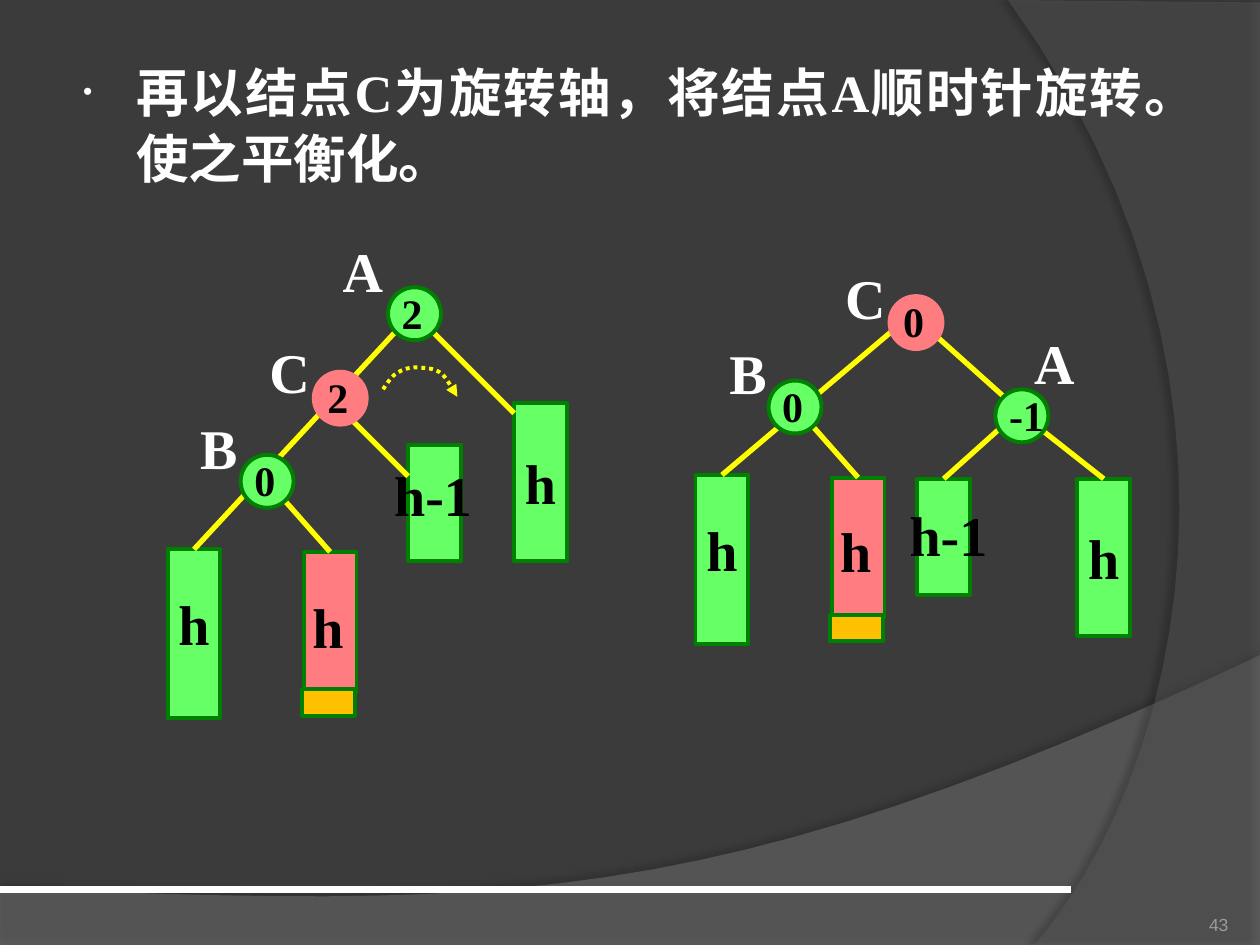
from dataclasses import dataclass

from lxml.etree import SubElement
from pptx import Presentation
from pptx.dml.color import RGBColor
from pptx.enum.dml import MSO_LINE
from pptx.enum.shapes import MSO_CONNECTOR, MSO_SHAPE
from pptx.enum.text import MSO_ANCHOR as Anchor, MSO_AUTO_SIZE as AutoSize, PP_ALIGN as Align
from pptx.oxml.ns import qn
from pptx.util import Inches, Pt


@dataclass(frozen=True)
class Theme:
    serif: str = "Times New Roman"
    sans: str = "Arial"
    background: str = "3B3B3B"
    light: str = "FFFFFF"
    dark: str = "000000"
    muted: str = "9D9B9A"
    green: str = "66FF66"
    outline: str = "008000"
    pink: str = "FF7C80"
    orange: str = "FFC000"
    yellow: str = "FFFF00"
    heading: int = 30
    name: int = 32
    value: int = 24
    footer: int = 10
    border: float = 2.25
    edge: float = 3
    rule: float = 4.5


THEME = Theme()
COLS, ROWS = 100, 75   # grid of tenths of an inch
THICK = 4.2            # node diameter and leaf width, in columns

# Nodes: left, top, balance factor, colour, name, offset of the name
# Leaves: left, top, height, colour, label, line spacing, label box or None for a label inside
# Edges: start, then an end point or the index of the leaf it hangs from
BEFORE = {
    "leaves": [
        (13.3, 43.6, 13.4, THEME.green, "h", 0.6, None),
        (24.1, 43.8, 11.1, THEME.pink, "h", 1, (23.8, 46.5, 4.5, 6.3)),
        (32.4, 35.3, 9.2, THEME.green, "h-1", 1, (30.3, 36.1, 8.2, 6.3)),
        (40.8, 32, 12.5, THEME.green, "h", 1, None),
    ],
    "edges": [((31.6, 26.1), 0), ((21.6, 38.6), 1),
              ((27.4, 32.8), (32.4, 37.8)), ((34.1, 26.1), (40.8, 32.8))],
    "nodes": [
        (30.8, 22.8, "2", THEME.green, "A", (-4.6, -4.5)),
        (24.9, 29.5, "2", THEME.pink, "C", (-4.5, -3.2)),
        (19.1, 36.1, "0", THEME.green, "B", (-4.2, -3.8)),
    ],
}
AFTER = {
    "leaves": [
        (55.2, 37.7, 13.4, THEME.green, "h", 0.6, None),
        (66, 37.9, 11.1, THEME.pink, "h", 1, (65.7, 40.5, 4.5, 6.3)),
        (72.8, 38, 9.2, THEME.green, "h-1", 1, (71.2, 39.2, 8.2, 6.3)),
        (85.5, 38, 12.5, THEME.green, "h", 1, None),
    ],
    "edges": [((71.6, 25.6), 0), ((63.5, 32.7), 1), ((80.7, 32.8), 2),
              ((81.5, 33.2), 3), ((74, 26.4), (80.7, 32.4))],
    "nodes": [
        (70.6, 23.5, "0", THEME.pink, "C", (-4.5, -3.1)),
        (79, 30.9, "-1", THEME.green, "A", (2.1, -5.3)),
        (61, 30.2, "0", THEME.green, "B", (-4.1, -3.8)),
    ],
}


def grid(*cells):
    return [Inches(cell / 10) for cell in cells]


def rgb(colour):
    return RGBColor.from_string(colour)


def write(frame, text, size=THEME.name, colour=THEME.light, font=THEME.serif, bold=True,
          align=Align.LEFT, spacing=1, wrap=False, anchor=Anchor.TOP, fit=AutoSize.NONE):
    """Fill a text frame with one formatted paragraph."""
    frame.word_wrap, frame.auto_size, frame.vertical_anchor = wrap, fit, anchor
    paragraph = frame.paragraphs[0]
    paragraph.alignment, paragraph.line_spacing, paragraph.space_before = align, spacing, Pt(0)
    run = paragraph.add_run()
    run.text = text
    run.font.name, run.font.size, run.font.bold = font, Pt(size), bold
    run.font.color.rgb = rgb(colour)
    return paragraph


def add_label(shapes, box, text, **style):
    frame = shapes.add_textbox(*grid(*box)).text_frame
    write(frame, text, fit=AutoSize.SHAPE_TO_FIT_TEXT, **style)


def add_block(shapes, kind, box, fill, outline=THEME.outline):
    block = shapes.add_shape(kind, *grid(*box))
    block.shadow.inherit = False
    block.fill.solid()
    block.fill.fore_color.rgb = rgb(fill)
    block.line.color.rgb, block.line.width = rgb(outline), Pt(THEME.border)
    return block


def add_line(shapes, start, end, colour=THEME.yellow, width=THEME.edge):
    line = shapes.add_connector(MSO_CONNECTOR.STRAIGHT, *grid(*start, *end))
    line.line.color.rgb, line.line.width = rgb(colour), Pt(width)
    SubElement(line._element.spPr, qn("a:effectLst"))
    return line


def curve(p0, p1, p2, p3, steps=24):
    """Points along a cubic curve, without its start."""
    shares = [step / steps for step in range(1, steps + 1)]
    return [tuple((1 - t) ** 3 * a + 3 * (1 - t) ** 2 * t * b + 3 * (1 - t) * t * t * c + t ** 3 * d
                  for a, b, c, d in zip(p0, p1, p2, p3)) for t in shares]


def add_outline(shapes, points, close):
    first, *rest = [grid(*point) for point in points]
    builder = shapes.build_freeform(*first)
    builder.add_line_segments(rest, close=close)
    outline = builder.convert_to_shape()
    outline.shadow.inherit = False
    return outline


def add_sweep(shapes, points, colour, opacity, shade, distance, angle):
    """A translucent background sweep with a soft shadow."""
    sweep = add_outline(shapes, points, True)
    sweep.line.fill.background()
    sweep.fill.solid()
    sweep.fill.fore_color.rgb = rgb(colour)
    properties = sweep._element.spPr
    fill = properties.find(qn("a:solidFill") + "/" + qn("a:srgbClr"))
    SubElement(fill, qn("a:alpha"), val=str(opacity * 1000))
    shadow = SubElement(properties.find(qn("a:effectLst")), qn("a:outerShdw"), blurRad=str(Pt(4)),
                        dist=str(Pt(distance)), dir=str(angle * 60000), rotWithShape="0")
    black = SubElement(shadow, qn("a:srgbClr"), val=THEME.dark)
    SubElement(black, qn("a:alpha"), val=str(shade * 1000))


def draw_backdrop(slide):
    slide.background.fill.solid()
    slide.background.fill.fore_color.rgb = rgb(THEME.background)
    floor = [(0, 70.5), (0, ROWS), (COLS, ROWS), (COLS, 52)]
    floor += curve((COLS, 52), (55.9, 72.9), (39.1, 71.9), (0, 70.5))
    side = [(COLS, 0.2), (COLS, ROWS), (82.1, ROWS)]
    side += curve((82.1, ROWS), (93.5, 61.9), (101.8, 30), (80, 0))
    add_sweep(slide.shapes, floor, "7F7F7F", 45, 35, 3.5, 270)
    add_sweep(slide.shapes, side, "5E5E5E", 40, 45, 4, 180)
    add_line(slide.shapes, (0, 70.6), (85, 70.6), THEME.light, THEME.rule)
    # Slide number
    frame = slide.shapes.add_textbox(*grid(89.2, 70.2, 8.3, 4)).text_frame
    frame.margin_left = frame.margin_right = frame.margin_top = frame.margin_bottom = 0
    write(frame, "43", size=THEME.footer, colour=THEME.muted, font=THEME.sans, bold=False,
          align=Align.RIGHT, wrap=True, anchor=Anchor.BOTTOM)


def draw_leaf(shapes, left, top, height, colour, label, spacing, label_box):
    leaf = add_block(shapes, MSO_SHAPE.RECTANGLE, (left, top, THICK, height), colour)
    if colour == THEME.pink:  # the inserted level below the subtree
        add_block(shapes, MSO_SHAPE.RECTANGLE, (left - 0.1, top + 10.9, THICK, 2.1), THEME.orange)
    if label_box:
        add_label(shapes, label_box, label, colour=THEME.dark)
    else:
        write(leaf.text_frame, label, colour=THEME.dark, align=Align.CENTER,
              spacing=spacing, anchor=Anchor.MIDDLE)
    return leaf


def draw_node(shapes, left, top, value, colour, name, offset):
    outline = THEME.pink if colour == THEME.pink else THEME.outline
    add_block(shapes, MSO_SHAPE.OVAL, (left, top, THICK, THICK), colour, outline)
    add_label(shapes, (left + 0.1, top - 0.5, 2.6 + 1.1 * len(value), 5), value,
              size=THEME.value, colour=THEME.dark)
    add_label(shapes, (left + offset[0], top + offset[1], 5.2, 6.3), name)


def draw_tree(slide, tree):
    shapes = slide.shapes.add_group_shape().shapes
    leaves = [draw_leaf(shapes, *leaf) for leaf in tree["leaves"]]
    for start, end in tree["edges"]:
        if isinstance(end, int):
            add_line(shapes, start, start).end_connect(leaves[end], 0)
        else:
            add_line(shapes, start, end)
    for node in tree["nodes"]:
        draw_node(shapes, *node)


def draw_rotation(slide):
    """Dotted arrow for the clockwise turn."""
    points = [(30.4, 30.9)]
    for bend in [((30.8, 30.3), (31.2, 29.7), (31.7, 29.5)), ((32.2, 29.2), (32.9, 29.1), (33.4, 29.2)),
                 ((34, 29.2), (34.6, 29.3), (35.1, 29.7)), ((35.5, 30.1), (36.1, 31.2), (36.3, 31.5))]:
        points += curve(points[-1], *bend, steps=8)
    turn = add_outline(slide.shapes, points, False)
    turn.fill.background()
    turn.line.color.rgb, turn.line.width = rgb(THEME.yellow), Pt(THEME.border)
    turn.line.dash_style = MSO_LINE.ROUND_DOT
    SubElement(turn.line._get_or_add_ln(), qn("a:tailEnd"), type="triangle")


def draw_statement(slide):
    slide.shapes.title._element.getparent().remove(slide.shapes.title._element)
    statement = slide.placeholders[1]
    statement.left, statement.top, statement.width, statement.height = grid(5.2, 4, 90.8, 14.8)
    # Bring the text in front of the backdrop
    statement._element.getparent().append(statement._element)
    paragraph = write(statement.text_frame, "再以结点C为旋转轴，将结点A顺时针旋转。使之平衡化。",
                      size=THEME.heading, align=Align.JUSTIFY, spacing=1.05, wrap=True)
    layout = paragraph._p.get_or_add_pPr()
    layout.set("marL", str(Inches(0.46)))
    layout.set("indent", str(Inches(-0.42)))
    SubElement(SubElement(layout, qn("a:buClr")), qn("a:srgbClr"), val=THEME.light)
    SubElement(layout, qn("a:buSzPct"), val="50000")
    SubElement(layout, qn("a:buChar"), char="•")


def main():
    prs = Presentation()
    prs.slide_width, prs.slide_height = grid(COLS, ROWS)
    slide = prs.slides.add_slide(prs.slide_layouts[1])
    draw_backdrop(slide)
    for tree in (BEFORE, AFTER):
        draw_tree(slide, tree)
    draw_rotation(slide)
    draw_statement(slide)
    prs.save("out.pptx")


if __name__ == "__main__":
    main()
